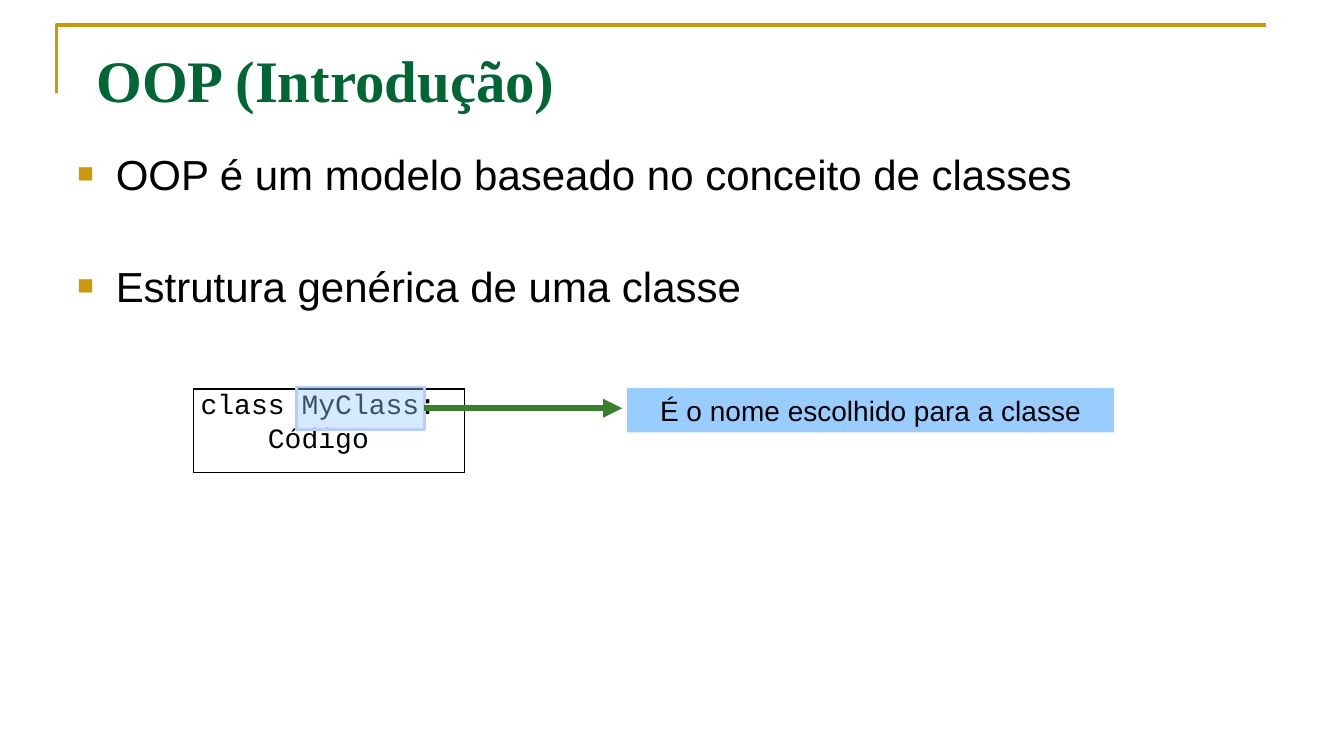
from lxml import etree
from pptx import Presentation
from pptx.dml.color import RGBColor
from pptx.enum.shapes import MSO_CONNECTOR as CONNECTOR, MSO_SHAPE as SHAPE
from pptx.enum.text import MSO_ANCHOR as ANCHOR, MSO_AUTO_SIZE as AUTO_SIZE, PP_ALIGN as ALIGN
from pptx.oxml.ns import qn
from pptx.util import Inches, Pt

GOLD = RGBColor(0xCC, 0x99, 0x00)
DARK_GREEN = RGBColor(0x00, 0x66, 0x33)
ARROW_GREEN = RGBColor(0x38, 0x80, 0x2C)
LIGHT_BLUE = RGBColor(0x99, 0xCC, 0xFF)
OUTLINE_BLUE = RGBColor(0xB4, 0xCC, 0xFF)
BLACK = RGBColor(0x00, 0x00, 0x00)

TITLE = {"name": "Times New Roman", "size": Pt(42), "bold": True}
BODY = {"name": "Arial", "size": Pt(30)}
CODE = {"name": "Courier New", "size": Pt(20)}
NOTE = {"name": "Arial", "size": Pt(20)}


def add_xml(parent, tag, **attributes):
    return etree.SubElement(parent, qn(tag), attributes)


class ClassSlide:
    def __init__(self, presentation):
        self.slide = presentation.slides.add_slide(presentation.slide_layouts[6])
        self.shapes = self.slide.shapes

    def style(self, paragraph, font, color=BLACK, **layout):
        for key, value in layout.items():
            setattr(paragraph, key, value)
        for key, value in font.items():
            setattr(paragraph.font, key, value)
        paragraph.font.color.rgb = color

    def corner_line(self, points):
        start, *others = [(Inches(x), Inches(y)) for x, y in points]
        builder = self.shapes.build_freeform(*start)
        builder.add_line_segments(others, close=False)
        corner = builder.convert_to_shape()
        corner.shadow.inherit = False
        corner.fill.background()
        corner.line.color.rgb = GOLD
        corner.line.width = Pt(2.5)

    def text_box(self, place, anchor):
        frame = self.shapes.add_textbox(*map(Inches, place)).text_frame
        frame.word_wrap = True
        frame.vertical_anchor = anchor
        return frame

    def title(self, text, place):
        heading = self.text_box(place, ANCHOR.BOTTOM).paragraphs[0]
        heading.text = text
        self.style(heading, TITLE, DARK_GREEN)

    def bullets(self, points, place):
        frame = self.text_box(place, ANCHOR.TOP)
        frame.text = "\n".join(points)
        for index, point in enumerate(frame.paragraphs):
            properties = point._p.get_or_add_pPr()
            properties.set("marL", str(Inches(0.38)))
            properties.set("indent", str(-Inches(0.38)))
            color = add_xml(properties, "a:buClr")
            add_xml(color, "a:srgbClr", val=str(GOLD))
            add_xml(properties, "a:buSzPct", val="65000")
            add_xml(properties, "a:buFont", typeface="Arial")
            add_xml(properties, "a:buChar", char="■")
            self.style(point, BODY, alignment=ALIGN.JUSTIFY,
                       space_before=Pt(44 if index else 0))

    def code_table(self, lines, place):
        table = self.shapes.add_table(1, 1, *map(Inches, place)).table
        table.first_row = table.horz_banding = False
        cell = table.cell(0, 0)
        margins = {"margin_left": 0.07, "margin_right": 0.07,
                   "margin_top": 0, "margin_bottom": 0}
        for side, margin in margins.items():
            setattr(cell, side, Inches(margin))
        cell.text = "\n".join(lines)
        for line in cell.text_frame.paragraphs:
            self.style(line, CODE, line_spacing=1.07)
        properties = cell._tc.get_or_add_tcPr()
        for edge in ("a:lnL", "a:lnR", "a:lnT", "a:lnB"):
            border = add_xml(properties, edge, w=str(Pt(1)))
            add_xml(add_xml(border, "a:solidFill"), "a:srgbClr", val=str(BLACK))
        cell.fill.background()

    def box(self, place, outline=None, opacity=None):
        box = self.shapes.add_shape(SHAPE.RECTANGLE, *map(Inches, place))
        box.shadow.inherit = False
        box.fill.solid()
        box.fill.fore_color.rgb = LIGHT_BLUE
        if opacity:
            color = box._element.spPr.find(".//" + qn("a:srgbClr"))
            add_xml(color, "a:alpha", val=str(opacity * 1000))
        if outline:
            box.line.color.rgb = outline
            box.line.width = Pt(2)
        else:
            box.line.fill.background()
        return box

    def callout(self, text, place):
        frame = self.box(place).text_frame
        frame.word_wrap = True
        frame.auto_size = AUTO_SIZE.SHAPE_TO_FIT_TEXT
        frame.vertical_anchor = ANCHOR.MIDDLE
        frame.text = text
        self.style(frame.paragraphs[0], NOTE, alignment=ALIGN.CENTER)

    def arrow(self, source, end_x):
        """Draw a level arrow from the right side of source to end_x."""
        y = source.top + source.height // 2
        arrow = self.shapes.add_connector(
            CONNECTOR.STRAIGHT, source.left + source.width, y, Inches(end_x), y)
        arrow.begin_connect(source, 3)
        arrow.line.color.rgb = ARROW_GREEN
        arrow.line.width = Pt(4.5)
        add_xml(arrow.line._get_or_add_ln(), "a:tailEnd", type="triangle")
        add_xml(arrow._element.spPr, "a:effectLst")


def main():
    presentation = Presentation()
    presentation.slide_width = Inches(13.33)
    presentation.slide_height = Inches(7.5)

    page = ClassSlide(presentation)
    page.corner_line([(0.56, 0.92), (0.56, 0.25), (12.56, 0.25)])
    page.bullets(["OOP é um modelo baseado no conceito de classes",
                  "Estrutura genérica de uma classe"], (0.67, 1.42, 12, 4.95))
    page.title("OOP (Introdução)", (0.86, 0.36, 12, 0.82))
    page.code_table(["class MyClass:", "    Código"], (1.92, 3.86, 2.69, 0.83))
    class_name = page.box((2.94, 3.84, 1.27, 0.42), OUTLINE_BLUE, opacity=40)
    page.arrow(class_name, 6.17)
    page.callout("É o nome escolhido para a classe", (6.22, 3.85, 4.83, 0.44))

    presentation.save("out.pptx")


if __name__ == "__main__":
    main()
